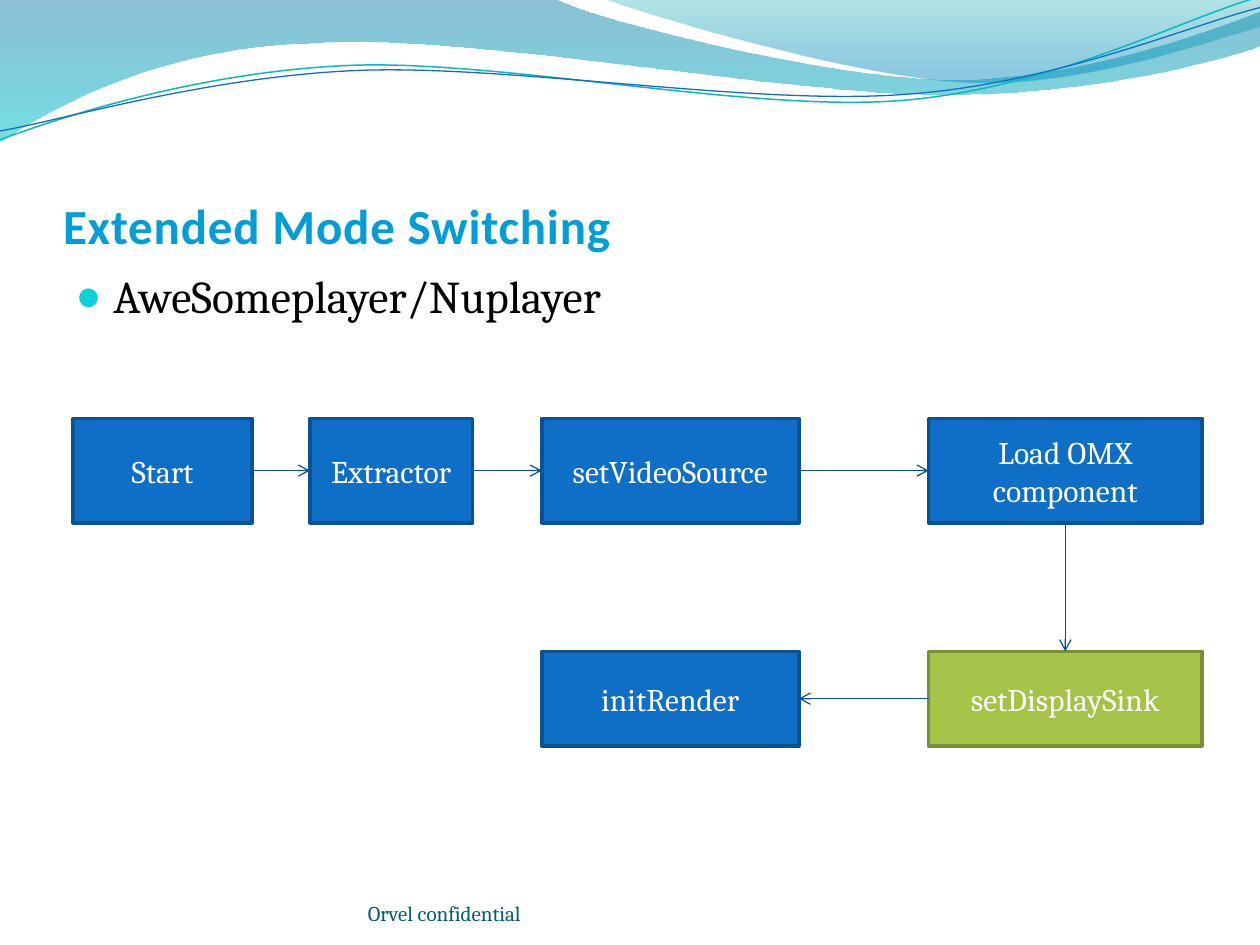
from lxml.etree import SubElement
from pptx import Presentation
from pptx.dml.color import RGBColor
from pptx.enum.shapes import MSO_CONNECTOR, MSO_SHAPE
from pptx.enum.text import MSO_ANCHOR, MSO_AUTO_SIZE, PP_ALIGN
from pptx.oxml.ns import qn
from pptx.util import Inches, Pt

COLORS = {
    "blue": "0F6FC6", "blue edge": "0B5292", "green": "A5C249",
    "green edge": "7A9036", "arrow": "095295", "title": "009DD9",
    "bullet": "0BD0D9", "body": "000000", "footer": "045D75", "label": "FFFFFF",
    "teal line": "0AB8BF", "wave top": "0074A1", "wave bottom": "00C6CF",
    "crest top": "00A1A9", "crest bottom": "008BBF",
}
RGB = {name: RGBColor.from_string(value) for name, value in COLORS.items()}
TOP, LEFT, BOTTOM, RIGHT = range(4)


def add_outline(start, segments, closed):
    """Draw line segments (one point) and cubic curves (three points) as a freeform."""
    points = [tuple(map(Inches, point)) for segment in segments for point in segment]
    builder = slide.shapes.build_freeform(*map(Inches, start))
    builder.add_line_segments(points, close=closed)
    outline = builder.convert_to_shape()
    outline.shadow.inherit = False
    lines = iter(list(outline.element.iter(qn("a:lnTo"))))
    for segment in segments:
        first, *others = [next(lines) for _ in segment]
        if others:
            first.tag = qn("a:cubicBezTo")
        for other in others:
            first.append(other[0])
            other.getparent().remove(other)
    return outline


def style_font(paragraph, typeface, size, color):
    paragraph.font.name = typeface
    paragraph.font.size = Pt(size)
    paragraph.font.color.rgb = RGB[color]


prs = Presentation()
prs.slide_width, prs.slide_height = Inches(10), Inches(7.5)
slide = prs.slides.add_slide(prs.slide_layouts[1])

# Header waves: start, segments, gradient stops (position, colour, opacity %)
waves = [
    ((0, 0), [
        [(4.4, -0.01)],
        [(4.76, 0.17), (6.64, 0.63), (7.58, 0.63)],
        [(8.53, 0.63), (9.58, 0.26), (10, 0.09)],
        [(10.01, 0.36)],
        [(9.83, 0.44), (8.7, 0.76), (7.46, 0.75)],
        [(6.22, 0.75), (3.82, 0.28), (2.57, 0.34)],
        [(1.29, 0.36), (0.46, 0.83), (-0.01, 1.13)],
    ], [(0, "wave top", 45), (1, "wave bottom", 55)]),
    ((4.79, -0.01), [
        [(5.09, 0.11), (6.82, 0.62), (7.69, 0.65)],
        [(8.56, 0.69), (9.61, 0.32), (10, 0.21)],
        [(10, 0)],
    ], [(0, "crest top", 30), (0.8, "crest bottom", 45)]),
]
for start, segments, stops in waves:
    wave = add_outline(start, segments, True)
    wave.line.fill.background()
    wave.fill.gradient()
    wave.fill.gradient_angle = 270
    for stop, (position, color, _) in zip(wave.fill.gradient_stops, stops):
        stop.position = position
        stop.color.rgb = RGB[color]
    gradient_colors = list(wave.element.spPr.iter(qn("a:srgbClr")))
    for gradient_color, (_, _, opacity) in zip(gradient_colors, stops):
        SubElement(gradient_color, qn("a:alpha"), val=str(opacity * 1000))

ripples = [
    ((0, 1.11), [
        [(0.48, 0.93), (1.58, 0.57), (2.77, 0.52)],
        [(3.95, 0.47), (5.93, 0.89), (7.13, 0.8)],
        [(8.33, 0.71), (9.38, 0.15), (9.98, -0.02)],
    ], "teal line", 0.85),
    ((0, 1.04), [
        [(0.47, 0.96), (1.64, 0.61), (2.83, 0.56)],
        [(4.03, 0.51), (5.97, 0.84), (7.17, 0.75)],
        [(8.36, 0.67), (9.41, 0.21), (10, 0.06)],
    ], "blue", 0.75),
]
for start, segments, color, width in ripples:
    ripple = add_outline(start, segments, False)
    ripple.fill.background()
    ripple.line.color.rgb = RGB[color]
    ripple.line.width = Pt(width)

# Title, list and footer
title = slide.shapes.title
title.left, title.top, title.width, title.height = map(Inches, (0.5, 0.77, 9, 1.25))
title.text_frame.text = "Extended Mode Switching"
title.text_frame.vertical_anchor = MSO_ANCHOR.BOTTOM
title.text_frame.auto_size = MSO_AUTO_SIZE.NONE
title.text_frame.margin_left = title.text_frame.margin_right = 0
title.text_frame.margin_bottom = 0
heading = title.text_frame.paragraphs[0]
heading.alignment = PP_ALIGN.LEFT
style_font(heading, "Calibri", 28, "title")
heading.font.bold = True
heading.runs[0]._r.get_or_add_rPr().set("spc", "50")

body = slide.placeholders[1]
body.left, body.top, body.width, body.height = map(Inches, (0.5, 2.08, 9, 4.8))
body.text_frame.text = "AweSomeplayer/Nuplayer"
body.text_frame.auto_size = MSO_AUTO_SIZE.NONE
item = body.text_frame.paragraphs[0]
bullet = item._p.get_or_add_pPr()
bullet.set("marL", str(Inches(0.3)))
bullet.set("indent", str(Inches(-0.3)))
SubElement(SubElement(bullet, qn("a:buClr")), qn("a:srgbClr"), val=COLORS["bullet"])
SubElement(bullet, qn("a:buSzPct"), val="95000")
SubElement(bullet, qn("a:buChar"), char="●")
style_font(item, "Cambria", 26, "body")

footer = slide.shapes.add_textbox(*map(Inches, (2.92, 6.95, 3.67, 0.4))).text_frame
footer.text = "Orvel confidential"
footer.word_wrap = True
footer.vertical_anchor = MSO_ANCHOR.BOTTOM
footer.margin_left = footer.margin_right = footer.margin_top = footer.margin_bottom = 0
style_font(footer.paragraphs[0], "Cambria", 12, "footer")

# Flow chart: rows are (top, height), steps are (label, left, width, row, colour)
upper, lower = (3.32, 0.83), (5.17, 0.75)
steps = [
    ("Start", 0.58, 1.42, upper, "blue"),
    ("Extractor", 2.46, 1.29, upper, "blue"),
    ("setVideoSource", 4.3, 2.04, upper, "blue"),
    ("Load OMX component", 7.37, 2.17, upper, "blue"),
    ("setDisplaySink", 7.37, 2.17, lower, "green"),
    ("initRender", 4.3, 2.04, lower, "blue"),
]
boxes = []
for label, left, width, (top, height), color in steps:
    box = slide.shapes.add_shape(
        MSO_SHAPE.RECTANGLE, *map(Inches, (left, top, width, height)))
    box.shadow.inherit = False
    box.fill.solid()
    box.fill.fore_color.rgb = RGB[color]
    box.line.color.rgb = RGB[f"{color} edge"]
    box.line.width = Pt(2)
    box.text_frame.text = label
    box.text_frame.word_wrap = True
    box.text_frame.vertical_anchor = MSO_ANCHOR.MIDDLE
    box.text_frame.paragraphs[0].alignment = PP_ALIGN.CENTER
    style_font(box.text_frame.paragraphs[0], "Cambria", 18, "label")
    boxes.append(box)

sides = [(RIGHT, LEFT)] * 3 + [(BOTTOM, TOP), (LEFT, RIGHT)]
for source, target, (exit_side, entry_side) in zip(boxes, boxes[1:], sides):
    arrow = slide.shapes.add_connector(MSO_CONNECTOR.STRAIGHT, 0, 0, 0, 0)
    arrow.begin_connect(source, exit_side)
    arrow.end_connect(target, entry_side)
    arrow.line.color.rgb = RGB["arrow"]
    arrow.line.width = Pt(0.75)
    SubElement(arrow.line._get_or_add_ln(), qn("a:tailEnd"), type="arrow")
    SubElement(arrow.element.spPr, qn("a:effectLst"))

prs.save("out.pptx")
